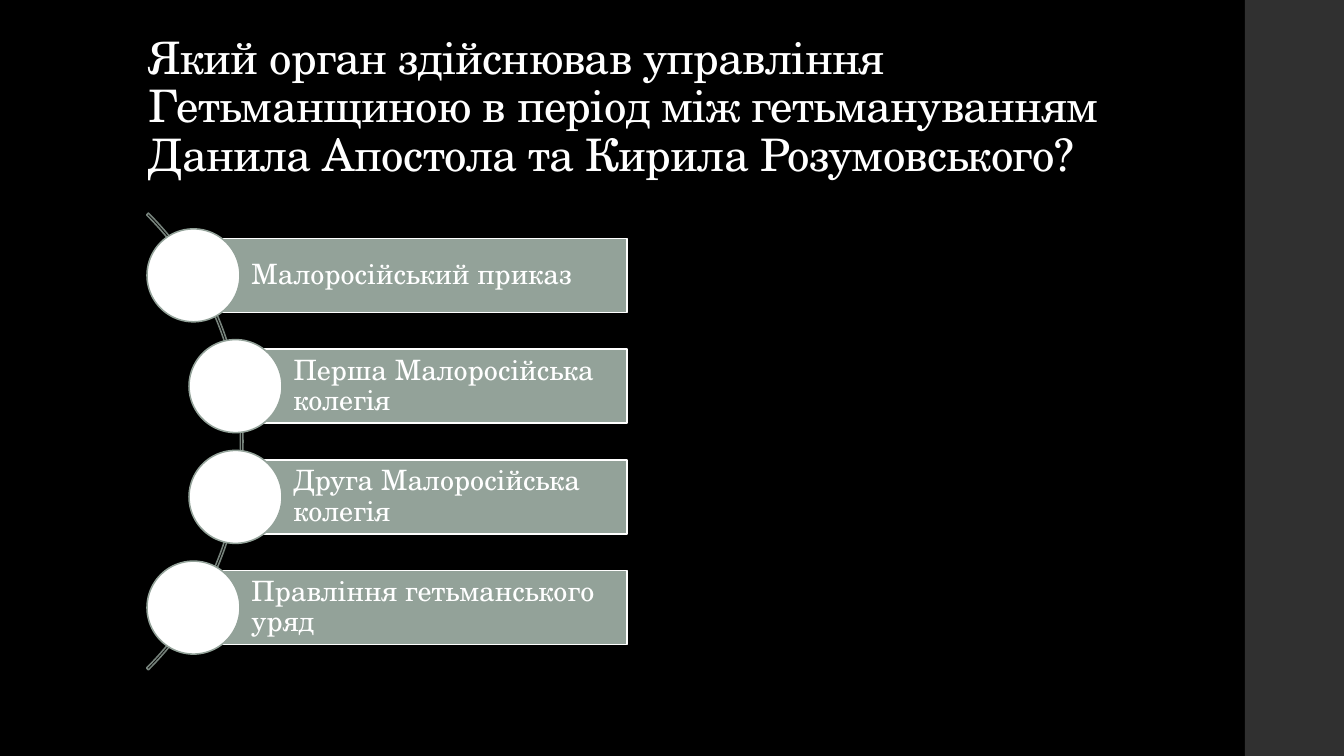
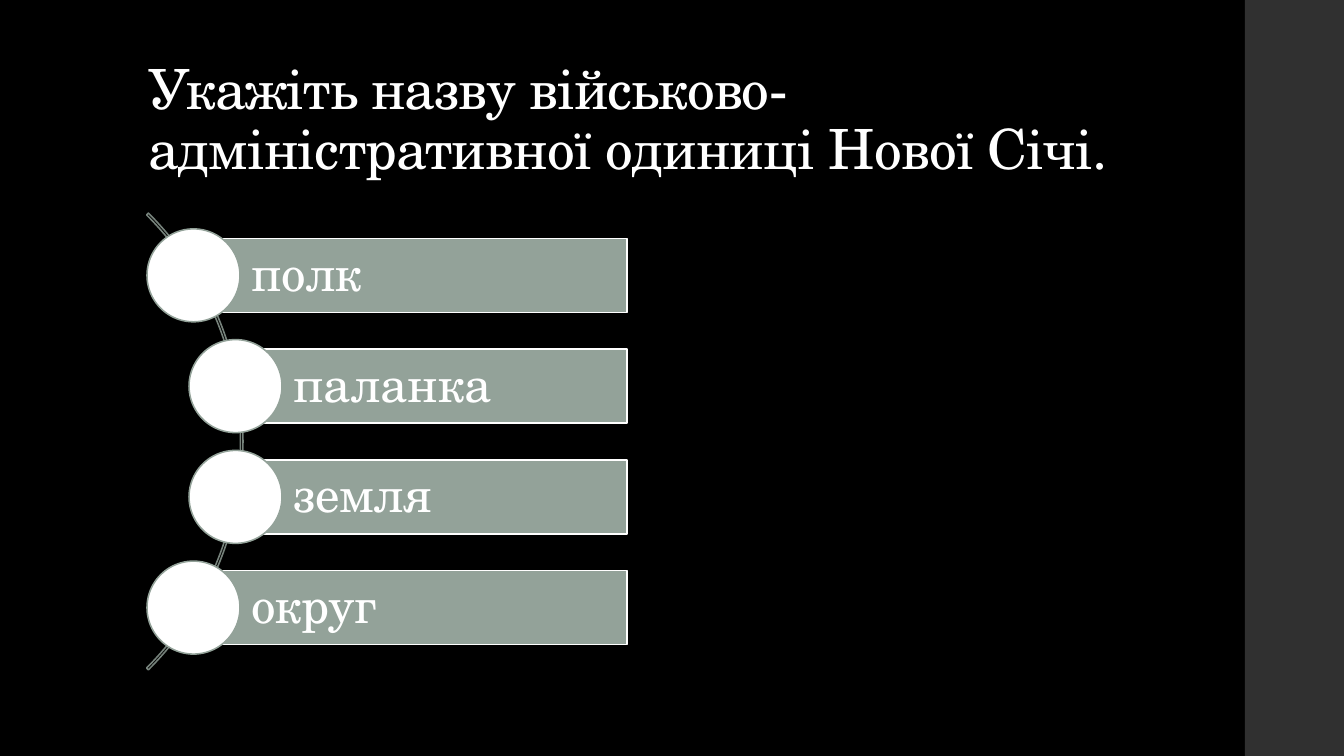
from pptx import Presentation
from pptx.dml.color import RGBColor
from pptx.enum.shapes import MSO_SHAPE
from pptx.enum.text import MSO_ANCHOR, PP_ALIGN
from pptx.util import Emu, Pt

WIDE, HIGH = 1344, 756
BLACK = RGBColor(0x00, 0x00, 0x00)
WHITE = RGBColor(0xFF, 0xFF, 0xFF)
BAND = RGBColor(0x30, 0x30, 0x30)
SAGE = RGBColor(0x93, 0xA2, 0x99)
MOSS = RGBColor(0x76, 0x82, 0x7B)
FONT = "TeX Gyre Schola"
TITLE = (139, 40, 1068, 146)
LIST = (147, 220, 480, 443)
DISC, BAR, ARC, SHIFT = 93, 74, 646, 42

QUIZ = [
    ("Який орган здійснював управління Гетьманщиною в період між "
     "гетьмануванням Данила Апостола та Кирила Розумовського?", 32,
     ["Малоросійський приказ", "Перша Малоросійська колегія",
      "Друга Малоросійська колегія", "Правління гетьманського уряд"], 20, 6),
    ("Укажіть назву військово-адміністративної одиниці Нової Січі.", 39.6,
     ["полк", "паланка", "земля", "округ"], 35, 10),
]


def px(num):
    """Turn pixels into EMU."""
    return Emu(round(num * 914400 / 100.8))


def draw(slide, kind, box, fill=None, line=None):
    """Add a flat preset shape with an optional fill and line."""
    shape = slide.shapes.add_shape(kind, *map(px, box))
    shape.shadow.inherit = False
    if fill is None:
        shape.fill.background()
    else:
        shape.fill.solid()
        shape.fill.fore_color.rgb = fill
    if line is None:
        shape.line.fill.background()
    else:
        shape.line.color.rgb = line
        shape.line.width = Pt(1.1)
    return shape


def write(shape, text, size, anchor):
    """Set left-aligned wrapped text and return its run."""
    frame = shape.text_frame
    frame.word_wrap = True
    frame.vertical_anchor = anchor
    frame.text = text
    para = frame.paragraphs[0]
    para.alignment = PP_ALIGN.LEFT
    para.line_spacing = 0.9
    run = para.runs[0]
    run.font.name = FONT
    run.font.size = Pt(size)
    run.font.color.rgb = WHITE
    return run


def add_base(deck):
    """Add a black slide with the grey side band."""
    slide = deck.slides.add_slide(deck.slide_layouts[6])
    slide.background.fill.solid()
    slide.background.fill.fore_color.rgb = BLACK
    draw(slide, MSO_SHAPE.RECTANGLE, (1245, 0, WIDE - 1245, HIGH), BAND)
    return slide


def add_title(slide, box, text, size):
    """Add the question, set on the bottom of its box."""
    shape = slide.shapes.add_textbox(*map(px, box))
    run = write(shape, text, size, MSO_ANCHOR.BOTTOM)
    run.font._element.set("spc", "-50")


def add_list(slide, box, names, size, inset):
    """Add answer bars with discs strung along a thin arc."""
    left, top, width, height = box
    arc = draw(slide, MSO_SHAPE.BLOCK_ARC,
               (left + 96 - ARC, top + (height - ARC) / 2, ARC, ARC), line=MOSS)
    for spot, value in enumerate((189, 27, 0.004)):
        arc.adjustments[spot] = value
    step = height / len(names)
    for row, name in enumerate(names):
        edge = left + (SHIFT if 0 < row < len(names) - 1 else 0)
        start = edge + DISC / 2
        mid = top + step * (row + 0.5)
        bar = draw(slide, MSO_SHAPE.RECTANGLE,
                   (start, mid - BAR / 2, left + width - start, BAR), SAGE, WHITE)
        frame = bar.text_frame
        frame.margin_left = px(58)
        frame.margin_top = frame.margin_right = frame.margin_bottom = px(inset)
        write(bar, name, size, MSO_ANCHOR.MIDDLE)
        draw(slide, MSO_SHAPE.OVAL, (edge, mid - DISC / 2, DISC, DISC), WHITE, SAGE)


def main():
    """Build and save the quiz slides."""
    deck = Presentation()
    deck.slide_width, deck.slide_height = px(WIDE), px(HIGH)
    for title, large, names, small, inset in QUIZ:
        slide = add_base(deck)
        add_title(slide, TITLE, title, large)
        add_list(slide, LIST, names, small, inset)
    deck.save("out.pptx")


if __name__ == "__main__":
    main()
